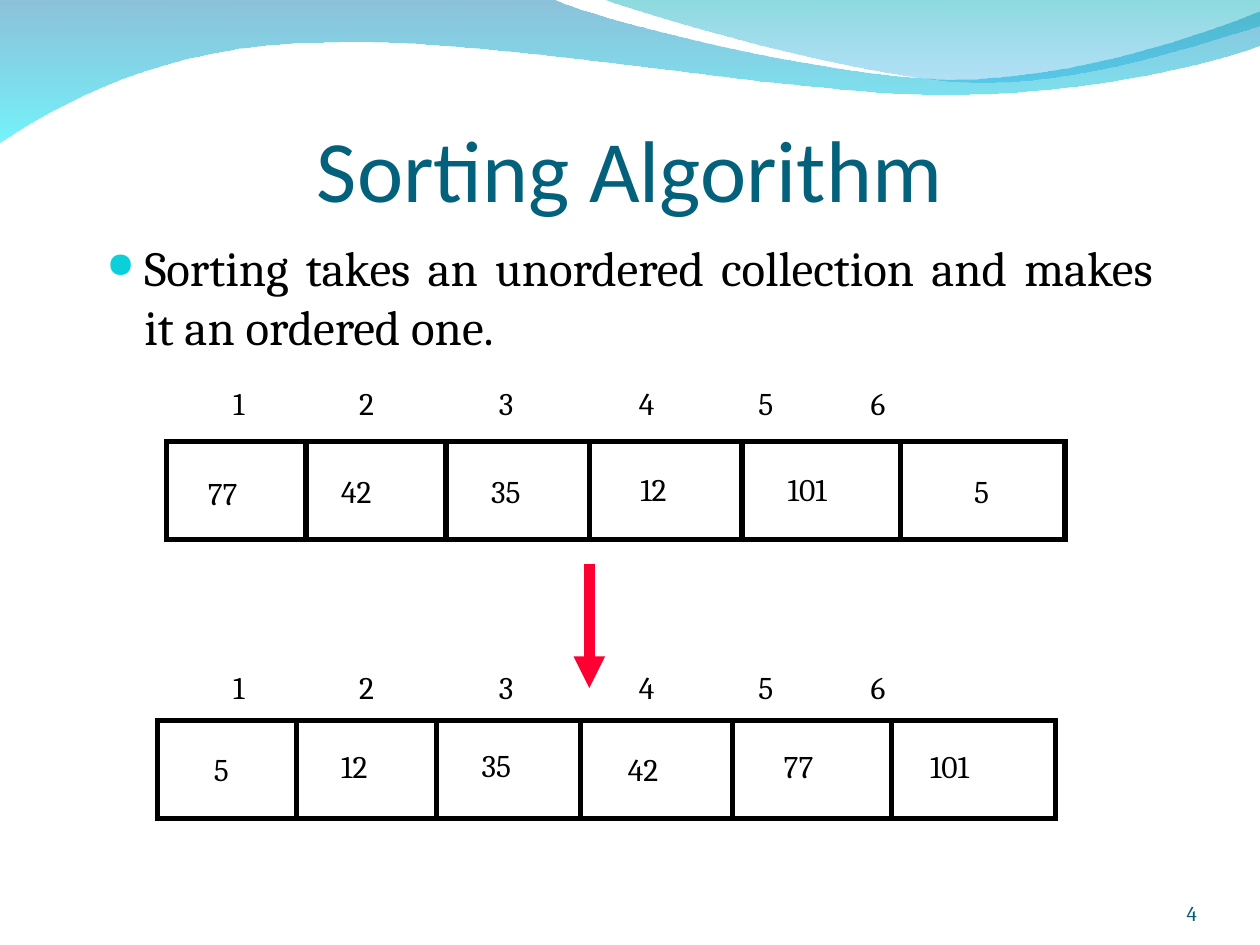
from typing import NamedTuple

from lxml import etree
from pptx import Presentation
from pptx import util as u
from pptx.dml.color import RGBColor
from pptx.enum import shapes, text
from pptx.oxml.ns import qn

BLACK, RED = "000000", "FF0033"
DIVIDERS = (2.81, 5.63, 8.53, 11.6, 14.8)
INDEX_TABS = (2.54, 5.36, 8.18, 10.59, 12.85)
ROW_WIDTH, ROW_HEIGHT, LABEL_HEIGHT = 18.11, 1.98, 1.02


class Stop(NamedTuple):
    color: str
    opacity: int


class Wave(NamedTuple):
    start: tuple
    segments: tuple
    stops: tuple


class Value(NamedTuple):
    label: str
    left: float
    top: float


class ArrayRow(NamedTuple):
    left: float
    top: float
    index_top: float
    values: tuple


WAVES = (
    Wave((0, 0), (
        ((11.18, 0),),
        ((12.09, 0.43), (16.87, 1.6), (19.25, 1.6)),
        ((21.67, 1.6), (24.33, 0.66), (25.4, 0.23)),
        ((25.4, 0.91),),
        ((24.97, 1.12), (22.1, 1.93), (18.95, 1.91)),
        ((15.8, 1.91), (9.7, 0.71), (6.53, 0.86)),
        ((3.28, 0.89), (1.17, 2.11), (0, 2.87)),
    ), (Stop("0079AF", 45), Stop("00EBF8", 55))),
    Wave((12.17, 0), (
        ((12.93, 0.28), (17.32, 1.57), (19.53, 1.65)),
        ((21.74, 1.75), (24.41, 0.81), (25.4, 0.53)),
        ((25.4, 0),),
    ), (Stop("00ADB6", 45), Stop("009BE5", 30))),
)

ROWS = (
    ArrayRow(3.36, 8.9, 7.62, (
        Value("77", 3.94, 9.42), Value("42", 6.63, 9.38), Value("35", 9.65, 9.38),
        Value("12", 12.66, 9.35), Value("101", 15.63, 9.35), Value("5", 19.39, 9.38))),
    ArrayRow(3.17, 14.52, 13.34, (
        Value("5", 4.06, 14.98), Value("12", 6.63, 14.93), Value("35", 9.46, 14.91),
        Value("42", 12.41, 14.98), Value("77", 15.55, 14.93), Value("101", 18.5, 14.93))),
)


def rgb(color: str) -> RGBColor:
    return RGBColor.from_string(color)


def add_text(slide, content: str, left: float, top: float, width: float,
             height: float = LABEL_HEIGHT, *, size: float = 18, font: str = "Cambria",
             color: str = BLACK, align=text.PP_ALIGN.LEFT, anchor=text.MSO_ANCHOR.TOP,
             insets: tuple = (0.25, 0.13, 0.25, 0.13), wrap: bool = True):
    box = slide.shapes.add_textbox(u.Cm(left), u.Cm(top), u.Cm(width), u.Cm(height))
    frame = box.text_frame
    frame.word_wrap = wrap
    frame.vertical_anchor = anchor
    (frame.margin_left, frame.margin_top,
     frame.margin_right, frame.margin_bottom) = map(u.Cm, insets)
    paragraph = frame.paragraphs[0]
    paragraph.alignment = align
    run = paragraph.add_run()
    run.text = content
    run.font.size = u.Pt(size)
    run.font.name = font
    run.font.color.rgb = rgb(color)
    return paragraph


def add_bullet(paragraph, color: str, indent: float) -> None:
    paragraph.space_before = u.Pt(7)
    props = paragraph._p.get_or_add_pPr()
    props.set("marL", str(u.Cm(indent)))
    props.set("indent", str(-u.Cm(indent)))
    bullet_color = etree.SubElement(props, qn("a:buClr"))
    etree.SubElement(bullet_color, qn("a:srgbClr"), val=color)
    etree.SubElement(props, qn("a:buSzPct"), val="72000")
    etree.SubElement(props, qn("a:buChar"), char="●")


def add_tabs(paragraph, stops: tuple) -> None:
    tabs = etree.SubElement(paragraph._p.get_or_add_pPr(), qn("a:tabLst"))
    for stop in stops:
        etree.SubElement(tabs, qn("a:tab"), pos=str(u.Cm(stop)), algn="l")


def add_line(slide, start: tuple, end: tuple, color: str = BLACK, weight: float = 3):
    line = slide.shapes.add_connector(
        shapes.MSO_CONNECTOR.STRAIGHT, *map(u.Cm, (*start, *end)))
    line.line.color.rgb = rgb(color)
    line.line.width = u.Pt(weight)
    etree.SubElement(line._element.spPr, qn("a:effectLst"))
    return line


def bend_segments(shape, segments: tuple) -> None:
    steps = iter(list(shape._element.iter(qn("a:lnTo"))))
    for segment in segments:
        first, *others = [next(steps) for _ in segment]
        if others:
            curve = etree.Element(qn("a:cubicBezTo"))
            first.addprevious(curve)
            for step in (first, *others):
                curve.append(step[0])
                step.getparent().remove(step)


def draw_wave(slide, wave: Wave) -> None:
    points = [(u.Cm(x), u.Cm(y)) for segment in wave.segments for x, y in segment]
    builder = slide.shapes.build_freeform(*map(u.Cm, wave.start))
    builder.add_line_segments(points, close=True)
    shape = builder.convert_to_shape()
    bend_segments(shape, wave.segments)
    shape.shadow.inherit = False
    shape.line.fill.background()
    shape.fill.gradient()
    shape.fill.gradient_angle = 270
    for gradient_stop, stop in zip(shape.fill.gradient_stops, wave.stops):
        gradient_stop.color.rgb = rgb(stop.color)
    for tint, stop in zip(shape._element.spPr.iter(qn("a:srgbClr")), wave.stops):
        etree.SubElement(tint, qn("a:alpha"), val=str(stop.opacity * 1000))


def draw_row(slide, row: ArrayRow) -> None:
    frame = slide.shapes.add_shape(
        shapes.MSO_SHAPE.RECTANGLE,
        *map(u.Cm, (row.left, row.top, ROW_WIDTH, ROW_HEIGHT)))
    frame.shadow.inherit = False
    frame.fill.background()
    frame.line.color.rgb = rgb(BLACK)
    frame.line.width = u.Pt(3)
    etree.SubElement(frame.line._get_or_add_ln(), qn("a:miter"), lim="800000")
    for offset in DIVIDERS:
        x = row.left + offset
        add_line(slide, (x, row.top), (x, row.top + ROW_HEIGHT))
    for value in row.values:
        add_text(slide, value.label, value.left, value.top,
                 0.51 + 0.35 * len(value.label), wrap=False)
    indices = "\t".join(str(i) for i in range(1, len(row.values) + 1))
    add_tabs(add_text(slide, indices, 4.45, row.index_top, 16.08), INDEX_TABS)


def main() -> None:
    deck = Presentation()
    deck.slide_width, deck.slide_height = u.Cm(25.4), u.Cm(19.05)
    slide = deck.slides.add_slide(deck.slide_layouts[6])
    for wave in WAVES:
        draw_wave(slide, wave)
    add_text(slide, "Sorting Algorithm", 1.27, 1.27, 22.86, 3.17, size=50,
             font="Calibri", color="04617B", align=text.PP_ALIGN.CENTER,
             anchor=text.MSO_ANCHOR.BOTTOM, insets=(0, 0.13, 0, 0))
    definition = add_text(
        slide, "Sorting takes an unordered collection and makes it an ordered one.",
        1.9, 4.66, 21.59, 12.27, size=28, align=text.PP_ALIGN.JUSTIFY)
    add_bullet(definition, "0BD0D9", 0.76)
    add_text(slide, "4", 22.02, 17.65, 2.11, size=12, color="045C75",
             align=text.PP_ALIGN.RIGHT, anchor=text.MSO_ANCHOR.BOTTOM,
             insets=(0, 0, 0, 0))
    for row in ROWS:
        draw_row(slide, row)
    arrow = add_line(slide, (11.88, 11.37), (11.88, 13.87), RED, 6)
    etree.SubElement(arrow.line._get_or_add_ln(), qn("a:tailEnd"), type="triangle")
    deck.save("out.pptx")


if __name__ == "__main__":
    main()
